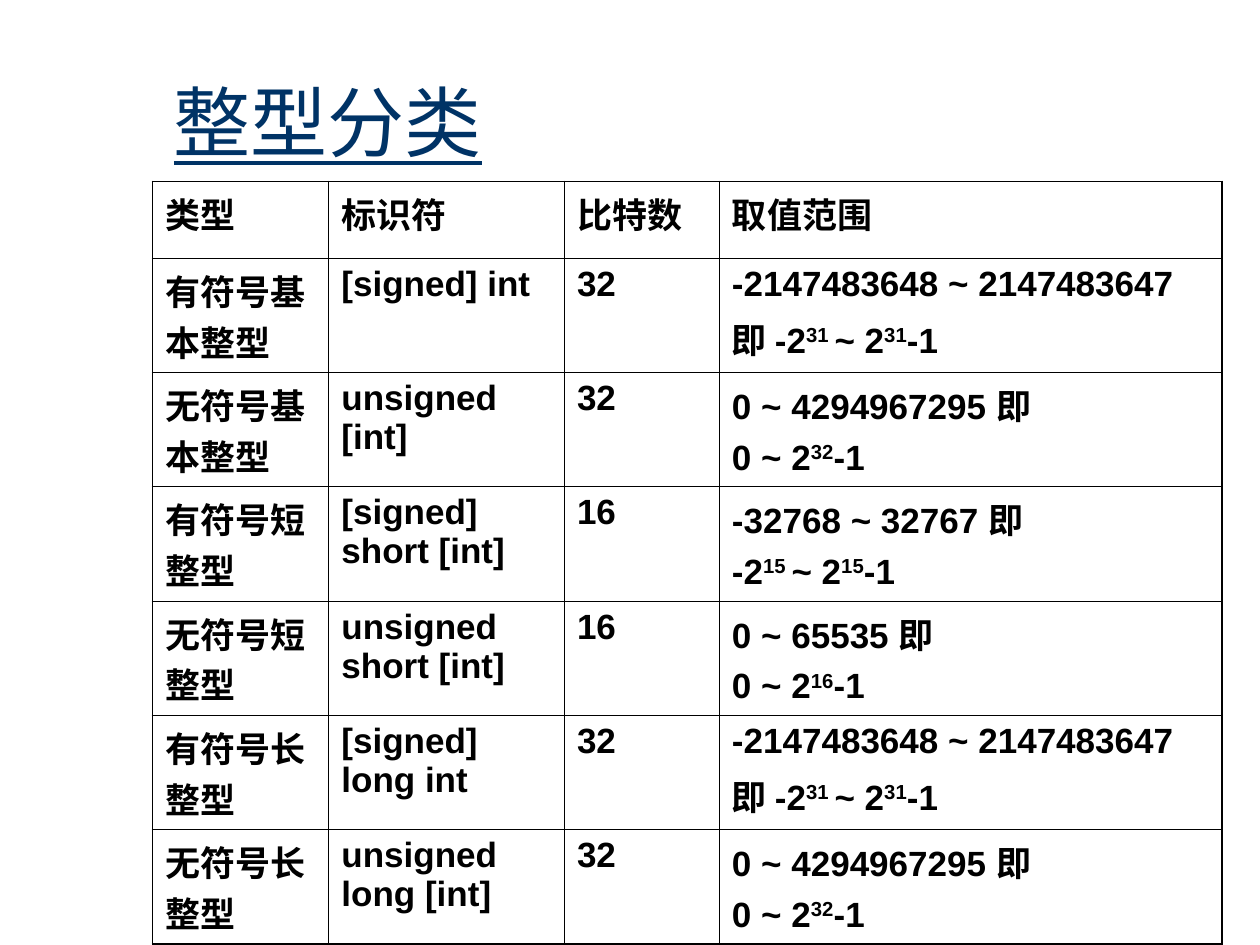
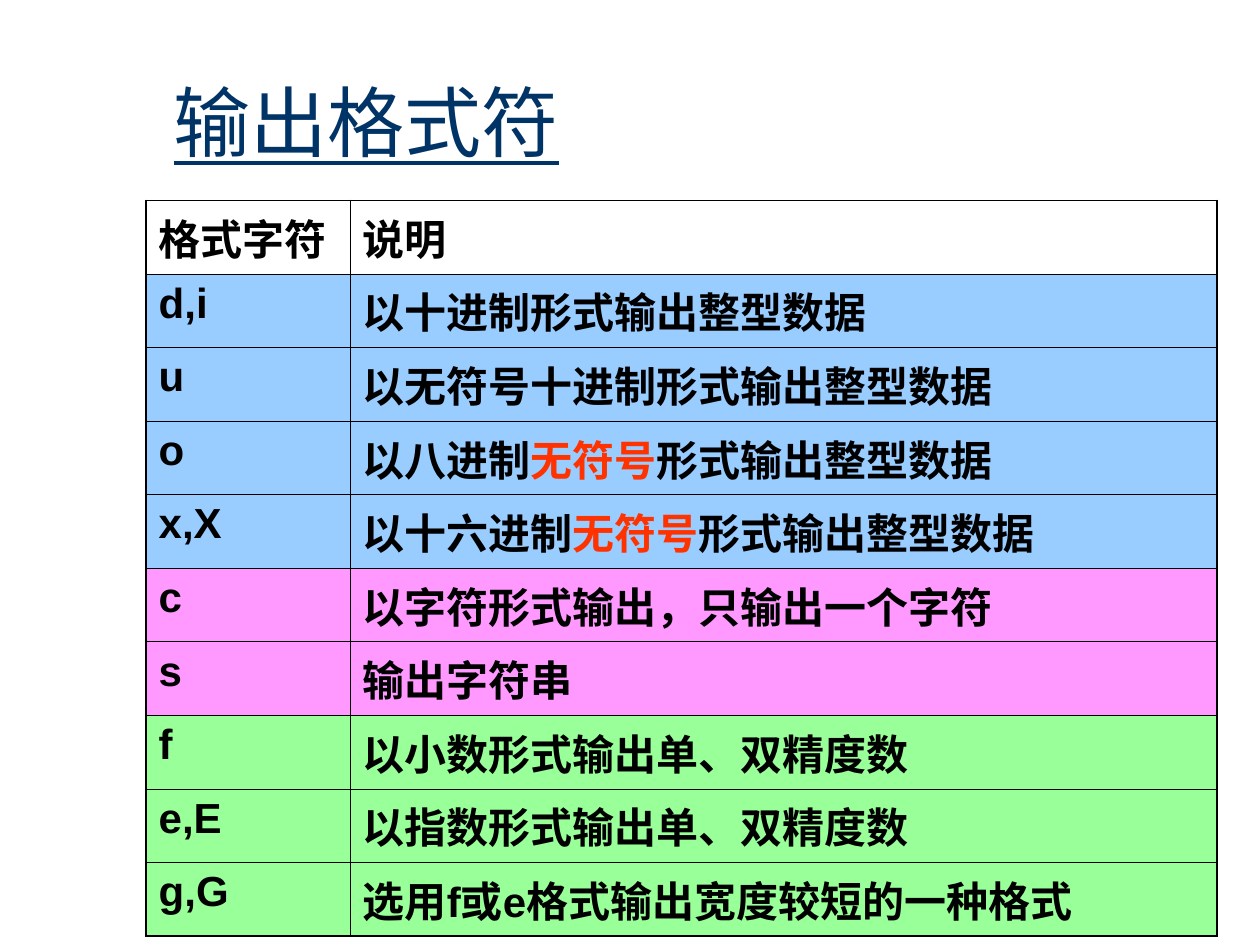
from lxml import etree
from pptx import Presentation
from pptx import util as u
from pptx.dml.color import RGBColor
from pptx.enum import lang, text
from pptx.oxml import ns

COLORS = {
    "title": "003366", "ink": "000000", "alert": "FF3300",
    "integer": "99CCFF", "character": "FF99FF", "real": "99FF99",
}
TITLE_FONT, BODY_FONT = "Comic Neue", "Arial"
OUTER_EDGE, INNER_EDGE = 1.08, 0.45

SIGNED_32 = "-2147483648 ~ 2147483647\n即 -2|31 |~ 2|31|-1"
UNSIGNED_32 = "0 ~ 4294967295 即\n0 ~ 2|32|-1"
INTEGER_TYPES = [
    ("类型", "标识符", "比特数", "取值范围"),
    ("有符号基本整型", "[signed] int", "32", SIGNED_32),
    ("无符号基本整型", "unsigned [int]", "32", UNSIGNED_32),
    ("有符号短整型", "[signed] short [int]", "16", "-32768 ~ 32767 即\n-2|15 |~ 2|15|-1"),
    ("无符号短整型", "unsigned short [int]", "16", "0 ~ 65535 即\n0 ~ 2|16|-1"),
    ("有符号长整型", "[signed] long int", "32", SIGNED_32),
    ("无符号长整型", "unsigned long [int]", "32", UNSIGNED_32),
]
FORMAT_GROUPS = [
    (None, [("格式字符", "说明")]),
    ("integer", [
        ("d,i", "以十进制形式输出整型数据"),
        ("u", "以无符号十进制形式输出整型数据"),
        ("o", "以八进制|无符号|形式输出整型数据"),
        ("x,X", "以十六进制|无符号|形式输出整型数据"),
    ]),
    ("character", [
        ("c", "以字符形式输出，只输出一个字符"),
        ("s", "输出字符串"),
    ]),
    ("real", [
        ("f", "以小数形式输出单、双精度数"),
        ("e,E", "以指数形式输出单、双精度数"),
        ("g,G", "选用f或e格式输出宽度较短的一种格式"),
    ]),
]


def color(name):
    """Return the named colour of the palette."""
    return RGBColor.from_string(COLORS[name])


def add_run(paragraph, words, font, size, ink):
    """Append one formatted run and return it."""
    run = paragraph.add_run()
    run.text = words
    run.font.name, run.font.size = font, u.Pt(size)
    run.font.color.rgb = color(ink)
    run.font.language_id = lang.MSO_LANGUAGE_ID.SIMPLIFIED_CHINESE
    return run


def raise_run(run):
    """Turn a run into a superscript."""
    run._r.get_or_add_rPr().set("baseline", "30000")


def redden_run(run):
    """Give a run the warning colour."""
    run.font.color.rgb = color("alert")


def add_titled_slide(prs, words):
    """Add a slide with the shared underlined title."""
    slide = prs.slides.add_slide(prs.slide_layouts[5])
    title = slide.shapes.title
    title.left, title.top = u.Inches(1.28), u.Inches(0.33)
    title.width, title.height = u.Inches(8.5), u.Inches(1.25)
    frame = title.text_frame
    frame.auto_size = text.MSO_AUTO_SIZE.NONE
    frame.vertical_anchor = text.MSO_ANCHOR.MIDDLE
    heading = frame.paragraphs[0]
    heading.alignment = text.PP_ALIGN.LEFT
    add_run(heading, words, TITLE_FONT, 44, "title").font.underline = True
    return slide


def draw_edges(cell, outer):
    """Draw the four cell edges, heavier on the outside of the table."""
    properties = cell._tc.get_or_add_tcPr()
    for place, side in enumerate("LRTB"):
        width = u.Pt(OUTER_EDGE if side in outer else INNER_EDGE)
        edge = etree.Element(ns.qn(f"a:ln{side}"), w=str(int(width)))
        fill = etree.SubElement(edge, ns.qn("a:solidFill"))
        etree.SubElement(fill, ns.qn("a:srgbClr"), val=COLORS["ink"])
        properties.insert(place, edge)


def fill_cell(cell, words, size, gap, accent):
    """Write the lines of a cell; every second piece between bars is accented."""
    cell.margin_left = cell.margin_right = u.Inches(0.1)
    cell.margin_top = cell.margin_bottom = u.Inches(0.05)
    for number, line in enumerate(words.split("\n")):
        if number:
            paragraph = cell.text_frame.add_paragraph()
            paragraph.space_before = u.Pt(gap)
        else:
            paragraph = cell.text_frame.paragraphs[0]
        for position, piece in enumerate(line.split("|")):
            run = add_run(paragraph, piece, BODY_FONT, size, "ink")
            run.font.bold = True
            if position % 2:
                accent(run)


def add_grid(slide, corner, widths, heights, rows, fills, size, gap, accent):
    """Add a ruled table with one optional fill name for each row."""
    left, top = map(u.Inches, corner)
    grid = slide.shapes.add_table(
        len(rows), len(widths), left, top,
        u.Inches(sum(widths)), u.Inches(sum(heights))).table
    grid.first_row = grid.horz_banding = False
    for column, width in zip(grid.columns, widths):
        column.width = u.Inches(width)
    for r, (words, fill) in enumerate(zip(rows, fills)):
        grid.rows[r].height = u.Inches(heights[r])
        for c, entry in enumerate(words):
            cell = grid.cell(r, c)
            fill_cell(cell, entry, size, gap, accent)
            if fill:
                cell.fill.solid()
                cell.fill.fore_color.rgb = color(fill)
            else:
                cell.fill.background()
            at_edge = {"L": c == 0, "R": c == len(widths) - 1,
                       "T": r == 0, "B": r == len(rows) - 1}
            draw_edges(cell, [side for side in at_edge if at_edge[side]])


def main():
    """Build the two reference slides."""
    prs = Presentation()
    prs.slide_width, prs.slide_height = u.Inches(10), u.Inches(7.5)

    integers = add_titled_slide(prs, "整型分类")
    add_grid(integers, (1.21, 1.44), [1.4, 1.87, 1.23, 3.99],
             [0.61] + [0.84] * (len(INTEGER_TYPES) - 1), INTEGER_TYPES,
             [None] * len(INTEGER_TYPES), 20, 5, raise_run)

    formats = add_titled_slide(prs, "输出格式符")
    rows = [row for _, group in FORMAT_GROUPS for row in group]
    fills = [fill for fill, group in FORMAT_GROUPS for _ in group]
    add_grid(formats, (1.16, 1.59), [1.62, 6.88], [0.5] * len(rows),
             rows, fills, 24, 6, redden_run)

    prs.save("out.pptx")


if __name__ == "__main__":
    main()
